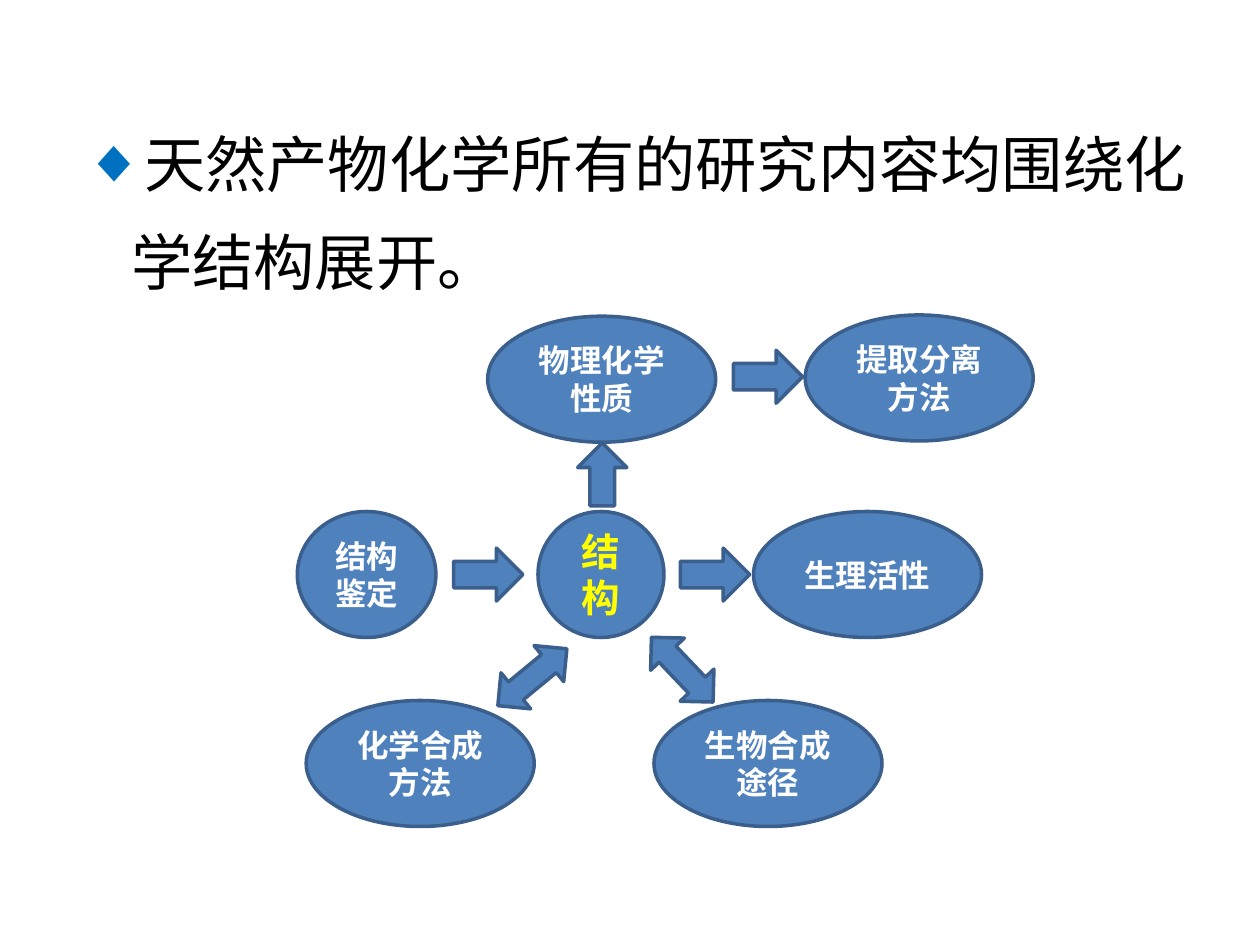
from lxml import etree
from pptx import Presentation
from pptx.dml.color import RGBColor
from pptx.enum.shapes import MSO_SHAPE
from pptx.enum.text import MSO_ANCHOR, MSO_AUTO_SIZE, PP_ALIGN
from pptx.oxml.ns import qn
from pptx.util import Inches, Pt

OVAL = MSO_SHAPE.OVAL
RIGHT = MSO_SHAPE.RIGHT_ARROW
BOTH = MSO_SHAPE.LEFT_RIGHT_ARROW
MIDDLE = MSO_ANCHOR.MIDDLE
CENTER = PP_ALIGN.CENTER
NO_FIT = MSO_AUTO_SIZE.NONE
FONT = "Noto Sans CJK SC"
BLUE = RGBColor(0x4F, 0x81, 0xBD)
EDGE = RGBColor(0x3A, 0x5F, 0x8C)
WHITE = RGBColor(0xFF, 0xFF, 0xFF)
YELLOW = RGBColor(0xFF, 0xFF, 0x00)
BLACK = RGBColor(0x00, 0x00, 0x00)


def add_run(para, text, size, color, bold=False):
    run = para.add_run()
    run.text = text
    font = run.font
    font.name, font.size, font.bold = FONT, Pt(size), bold
    font.color.rgb = color
    east = etree.SubElement(run._r.get_or_add_rPr(), qn("a:ea"))
    east.set("typeface", FONT)


def add_part(kind, left, top, width, height, turn=0):
    part = slide.shapes.add_shape(
        kind, Inches(left), Inches(top), Inches(width), Inches(height))
    part.rotation = turn
    part.shadow.inherit = False
    part.fill.solid()
    part.fill.fore_color.rgb = BLUE
    part.line.color.rgb = EDGE
    part.line.width = Pt(2)
    return part


prs = Presentation()
prs.slide_width, prs.slide_height = Inches(10), Inches(7.5)
slide = prs.slides.add_slide(prs.slide_layouts[1])
title = slide.shapes.title.element
title.getparent().remove(title)

body = slide.placeholders[1]
body.left, body.top = Inches(0.56), Inches(0.76)
body.width, body.height = Inches(9.13), Inches(1.73)
frame = body.text_frame
frame.word_wrap = True
frame.auto_size = NO_FIT
para = frame.paragraphs[0]
para.line_spacing = Pt(56)
para.space_before = Pt(0)
props = para._p.get_or_add_pPr()
props.set("marL", str(Inches(0.38)))
props.set("indent", str(-Inches(0.38)))
tint = etree.SubElement(props, qn("a:buClr"))
etree.SubElement(tint, qn("a:srgbClr")).set("val", "0070C0")
etree.SubElement(props, qn("a:buChar")).set("char", "◆")
add_run(para, "天然产物化学所有的研究内容均围绕化学结构展开。", 35, BLACK)

nodes = [
    ("结构", 4.27, 4.06, 1, 22, YELLOW),
    ("物理化学性质", 3.87, 2.51, 1.81, 18, WHITE),
    ("提取分离方法", 6.39, 2.5, 1.81, 18, WHITE),
    ("生理活性", 5.98, 4.06, 1.81, 18, WHITE),
    ("结构鉴定", 2.36, 4.06, 1.1, 18, WHITE),
    ("化学合成方法", 2.43, 5.56, 1.81, 18, WHITE),
    ("生物合成途径", 5.19, 5.56, 1.81, 18, WHITE),
]
for text, left, top, width, size, color in nodes:
    frame = add_part(OVAL, left, top, width, 1).text_frame
    frame.word_wrap = True
    frame.vertical_anchor = MIDDLE
    para = frame.paragraphs[0]
    para.alignment = CENTER
    add_run(para, text, size, color, True)

for left, top in [(5.82, 2.78), (5.4, 4.35), (3.6, 4.35)]:
    add_part(RIGHT, left, top, 0.55, 0.42)
add_part(RIGHT, 4.53, 3.57, 0.5, 0.39, 270)
for left, top, turn in [(3.87, 5.19, 320.5), (5.06, 5.13, 226.4)]:
    add_part(BOTH, left, top, 0.71, 0.37, turn)

prs.save("out.pptx")
